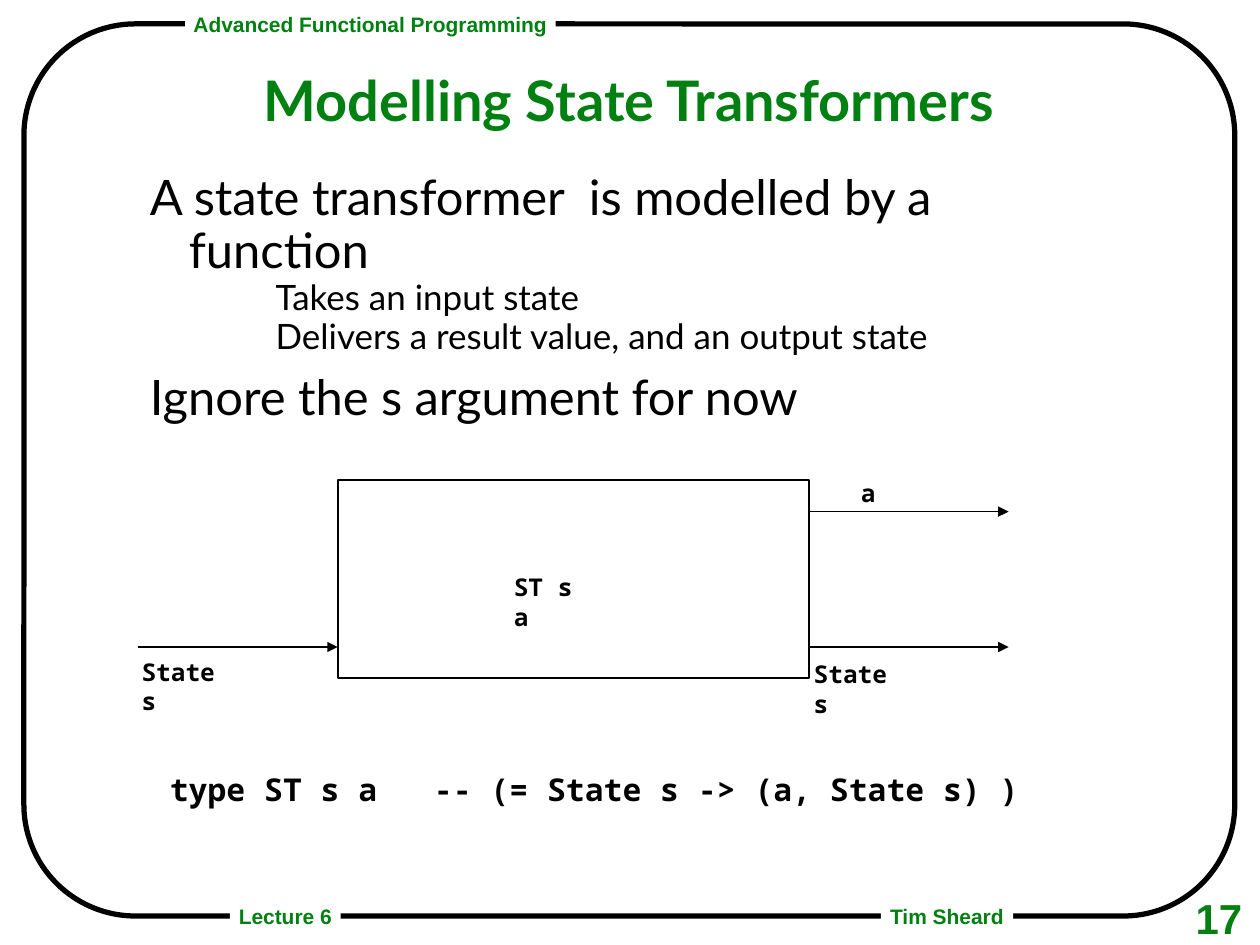
from pptx import Presentation, util as u
from pptx.dml.color import RGBColor
from pptx.enum import shapes, text
from pptx.oxml.ns import qn
from lxml import etree

COLORS = {"accent": "008011", "ink": "000000", "paper": "FFFFFF"}
SLIDE_WIDTH, SLIDE_HEIGHT = u.Pt(721.5), u.Pt(541.4)
COLUMNS, ROWS = 100, 75


def color(name):
    return RGBColor.from_string(COLORS[name])


def cells(left, top, width, height):
    """Turn grid columns and rows into slide lengths."""
    col, row = SLIDE_WIDTH / COLUMNS, SLIDE_HEIGHT / ROWS
    return [round(n) for n in (left * col, top * row, width * col, height * row)]


def place(placeholder, *grid):
    (placeholder.left, placeholder.top,
     placeholder.width, placeholder.height) = cells(*grid)
    placeholder.text_frame.auto_size = text.MSO_AUTO_SIZE.NONE


def style(paragraph, face, size, ink="ink", bold=False, spacing=None, align=None):
    font = paragraph.font
    font.name, font.size, font.bold = face, u.Pt(size), bold
    font.color.rgb = color(ink)
    paragraph.line_spacing = spacing
    paragraph.alignment = align


def add_box(slide, kind, grid, fill=None, line_width=None):
    box = slide.shapes.add_shape(kind, *cells(*grid))
    box.shadow.inherit = False
    if fill:
        box.fill.solid()
        box.fill.fore_color.rgb = color(fill)
    else:
        box.fill.background()
    if line_width:
        box.line.color.rgb = color("ink")
        box.line.width = u.Pt(line_width)
    else:
        box.line.fill.background()
    return box


def tighten(frame):
    frame.margin_left = frame.margin_right = u.Inches(0.07)
    frame.margin_top = frame.margin_bottom = u.Inches(0.03)


def add_frame_tag(slide, words, *grid):
    """Add a caption that interrupts the frame line."""
    tag = add_box(slide, shapes.MSO_SHAPE.RECTANGLE, grid, fill="paper")
    frame = tag.text_frame
    frame.word_wrap = False
    tighten(frame)
    frame.vertical_anchor = text.MSO_ANCHOR.MIDDLE
    frame.text = words
    style(frame.paragraphs[0], "Arial", 12, "accent", True, 0.97, text.PP_ALIGN.CENTER)


def add_label(slide, words, grid, size=14, face="Noto Sans Mono", ink="ink"):
    label = slide.shapes.add_textbox(*cells(*grid))
    frame = label.text_frame
    frame.word_wrap = True
    frame.text = words
    style(frame.paragraphs[0], face, size, ink, bold=True)
    return frame


def add_arrow(slide, left, row, length):
    x, y, width, _ = cells(left, row, length, 0)
    arrow = slide.shapes.add_connector(shapes.MSO_CONNECTOR.STRAIGHT, x, y, x + width, y)
    arrow.line.color.rgb = color("ink")
    arrow.line.width = u.Pt(1)
    etree.SubElement(arrow.line._get_or_add_ln(), qn("a:tailEnd"), type="triangle")
    etree.SubElement(arrow._element.spPr, qn("a:effectLst"))


def fill_outline(body, points):
    """Write (level, words) pairs as an outline without bullets."""
    looks = {0: (28, 0.9, 10.5, 0.31, -0.31), 2: (20, 0.7, 5, 1.25, -0.25)}
    frame = body.text_frame
    for index, (level, words) in enumerate(points):
        point = frame.add_paragraph() if index else frame.paragraphs[0]
        size, spacing, before, margin, indent = looks[level]
        point.text, point.level = words, level
        props = point._p.get_or_add_pPr()
        props.set("marL", str(u.Inches(margin)))
        props.set("indent", str(u.Inches(indent)))
        etree.SubElement(props, qn("a:buNone"))
        style(point, "Lato", size, spacing=spacing)
        point.space_before = u.Pt(before if index else 0)


def add_frame(slide):
    frame = add_box(slide, shapes.MSO_SHAPE.ROUNDED_RECTANGLE,
                    (1.9, 1.9, 96.1, 70.8), line_width=3)
    frame.adjustments[0] = 0.125
    add_frame_tag(slide, "Advanced Functional Programming", 14.7, 0.75, 29.4, 2.5)
    add_frame_tag(slide, "Lecture 6", 18.25, 71.55, 8.8, 2.5)
    add_frame_tag(slide, "Tim Sheard", 69.9, 71.55, 10.5, 2.5)
    number = add_label(slide, "17", (94.2, 70.4, 7.4, 4.7), 24, "Arial", "accent")
    tighten(number)
    number.paragraphs[0].line_spacing = 1.04


def add_diagram(slide):
    value_row, state_row, arrow_length = 40.6, 51.35, 15.85
    add_box(slide, shapes.MSO_SHAPE.RECTANGLE, (26.85, 38.1, 37.35, 15.7), "paper", 1)
    for left, row in ((10.95, state_row), (64.2, value_row), (64.2, state_row)):
        add_arrow(slide, left, row, arrow_length)
    for words, left, top, width in (("ST s a", 39.8, 44.95, 7.4),
                                    ("State s", 10.25, 51.65, 8.6),
                                    ("State s", 63.6, 51.85, 8.6),
                                    ("a", 67.35, 37.45, 3.2)):
        add_label(slide, words, (left, top, width, 3.3))


def main():
    deck = Presentation()
    deck.slide_width = SLIDE_WIDTH
    deck.slide_height = SLIDE_HEIGHT
    deck.element.find(qn("p:sldSz")).attrib.pop("type", None)
    slide = deck.slides.add_slide(deck.slide_layouts[1])
    title, body = slide.placeholders

    add_frame(slide)
    place(title, 10, 5.65, 79.85, 5.2)
    title.text_frame.text = "Modelling State Transformers"
    title.text_frame.vertical_anchor = text.MSO_ANCHOR.MIDDLE
    style(title.text_frame.paragraphs[0], "Lato", 32, "accent", True, 0.87,
          text.PP_ALIGN.CENTER)

    place(body, 10.9, 13.25, 78.1, 52.4)
    fill_outline(body, [
        (0, "A state transformer  is modelled by a function"),
        (2, "Takes an input state"),
        (2, "Delivers a result value, and an output state"),
        (0, "Ignore the s argument for now"),
    ])
    add_diagram(slide)
    add_label(slide, "type ST s a   -- (= State s -> (a, State s) )",
              (12.5, 60.65, 79, 4), 18)
    deck.save("out.pptx")


if __name__ == "__main__":
    main()
